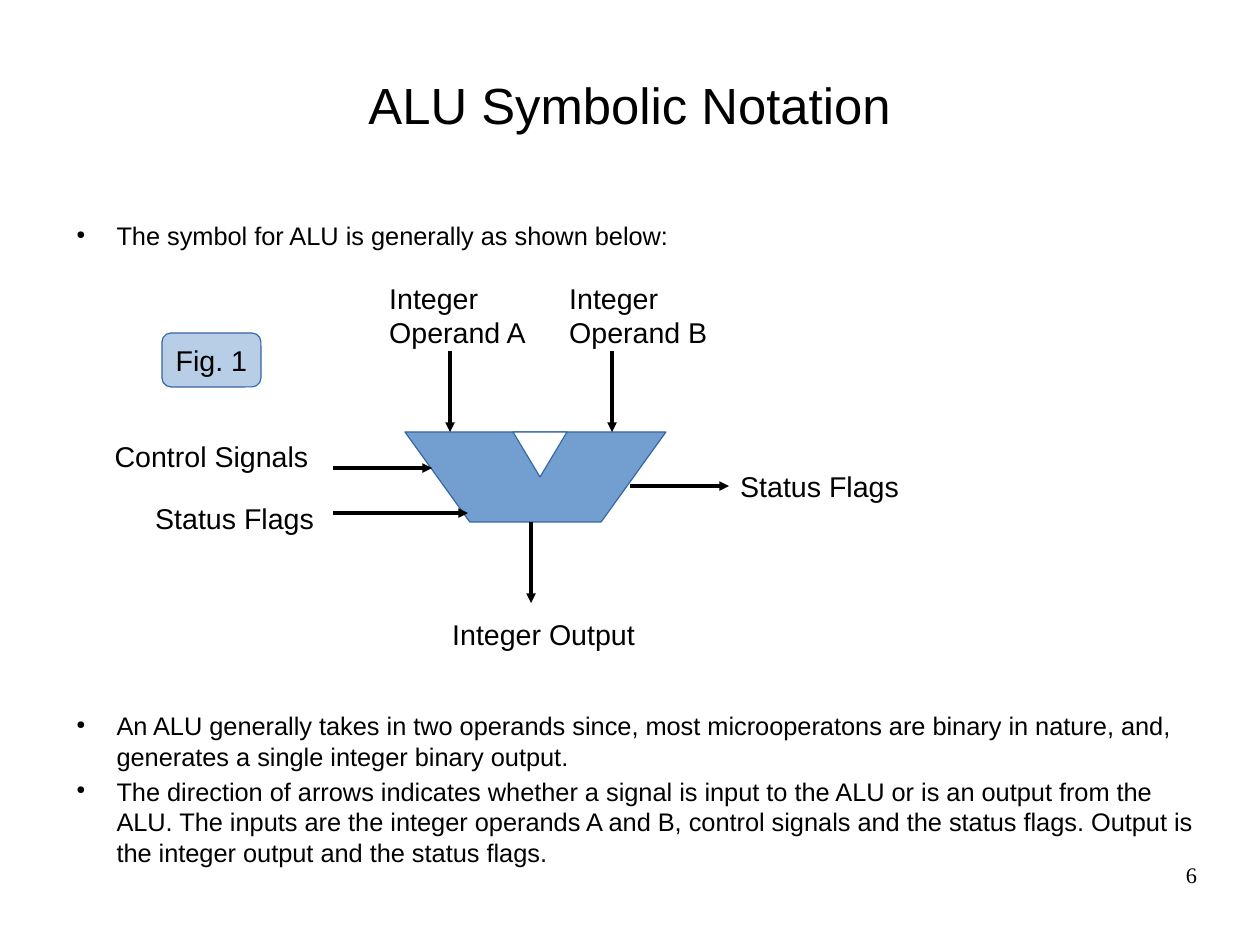
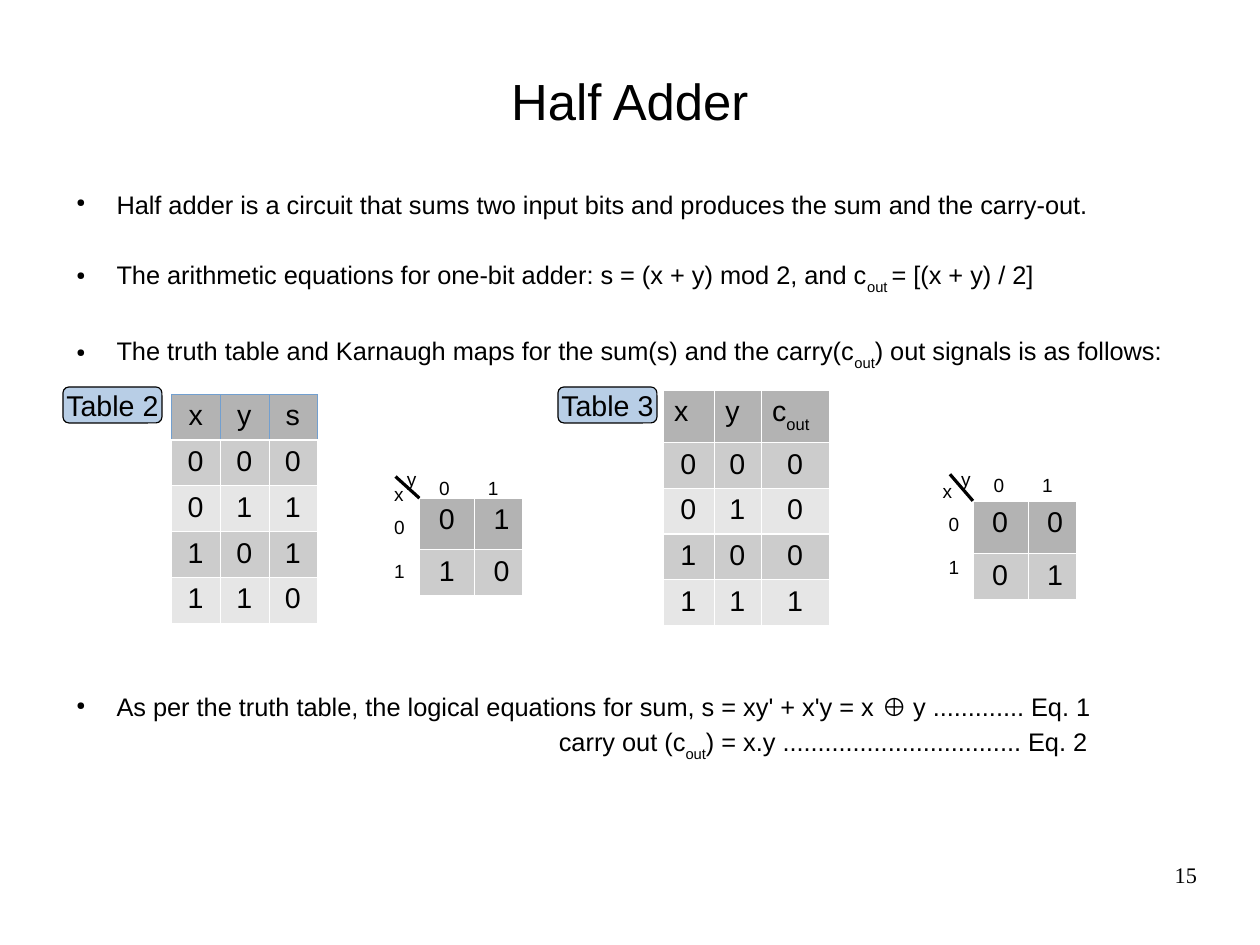
from dataclasses import dataclass
from typing import Optional

import pptx
import pptx.dml.color
import pptx.enum.shapes
import pptx.enum.text
import pptx.oxml.ns
import pptx.oxml.xmlchemy
import pptx.util
from lxml import etree

Cm = pptx.util.Cm
Pt = pptx.util.Pt
qn = pptx.oxml.ns.qn
Align = pptx.enum.text.PP_ALIGN
Anchor = pptx.enum.text.MSO_ANCHOR
Preset = pptx.enum.shapes.MSO_SHAPE

COLORS = {
    "text": "000000",
    "paper": "FFFFFF",
    "blue": "729FCF",
    "blue_edge": "3465A4",
    "header": "B3B3B3",
    "odd_row": "CCCCCC",
    "even_row": "E6E6E6",
}
BODY_FONT, NUMBER_FONT = "Arial", "Times New Roman"
MARGIN, CONTENT_WIDTH = 1.4, 25.2
BLANK_LINE = 22.05  # points taken by one body line with its spacing
HAIRLINE = 0


# What the slides repeat; positions and sizes are in centimetres
@dataclass(frozen=True)
class Point:
    text: str  # subscripts stand between bars
    before: float = 0
    left: float = 1.19
    bulleted: bool = True


@dataclass(frozen=True)
class Label:
    text: str
    left: float
    top: float
    width: float
    height: float = 0.97
    align: Align = Align.LEFT
    size: float = 18


@dataclass(frozen=True)
class Arrow:
    start: tuple[float, float]
    end: tuple[float, float]
    head: bool = True


@dataclass(frozen=True)
class Badge:
    text: str
    left: float
    top: float
    height: float
    edge: str


@dataclass(frozen=True)
class Grid:
    left: float
    top: float
    widths: tuple[float, ...]
    heights: tuple[float, ...]
    rows: tuple[tuple[str, ...], ...]
    header_align: Align = Align.LEFT
    body_align: Align = Align.CENTER
    header_edge: str = "paper"
    inset: float = 0.25


@dataclass(frozen=True)
class KarnaughMap:
    grid: Grid
    x_at: tuple[float, float]
    y_at: tuple[float, float]
    labels_at: tuple[float, float]


def rgb(name: str) -> pptx.dml.color.RGBColor:
    return pptx.dml.color.RGBColor.from_string(COLORS[name])


def write(paragraph, text: str, size: float, align: Align = Align.LEFT,
          font: str = BODY_FONT) -> None:
    """Fill a paragraph; every second part between bars is a subscript."""
    for index, part in enumerate(text.split("|")):
        if part:
            run = paragraph.add_run()
            run.text = part
            if index % 2:
                run._r.get_or_add_rPr().set("baseline", "-33000")
    paragraph.alignment = align
    paragraph.font.name = font
    paragraph.font.size = Pt(size)
    paragraph.font.color.rgb = rgb("text")


def add_frame(slide, left: float, top: float, width: float, height: float):
    """Add a wrapping text box without insets and return its text frame."""
    frame = slide.shapes.add_textbox(Cm(left), Cm(top), Cm(width), Cm(height)).text_frame
    frame.word_wrap = True
    frame.margin_left = frame.margin_top = frame.margin_right = frame.margin_bottom = 0
    return frame


def add_bullet(paragraph) -> None:
    properties = paragraph._p.get_or_add_pPr()
    color = etree.SubElement(properties, qn("a:buClr"))
    etree.SubElement(color, qn("a:srgbClr"), val=COLORS["text"])
    etree.SubElement(properties, qn("a:buSzPct"), val="45000")
    etree.SubElement(properties, qn("a:buChar"), char="●")


def add_body(slide, top: float, height: float, points: list[Point]) -> None:
    frame = add_frame(slide, MARGIN, top, CONTENT_WIDTH, height)
    for index, point in enumerate(points):
        paragraph = frame.add_paragraph() if index else frame.paragraphs[0]
        properties = paragraph._p.get_or_add_pPr()
        properties.set("marL", str(Cm(point.left)))
        properties.set("indent", str(Cm(-0.89) if point.bulleted else 0))
        if point.bulleted:
            add_bullet(paragraph)
        if index:
            paragraph.space_before = Pt(point.before)
        paragraph.space_after = Pt(2.8)
        write(paragraph, point.text, 16)


def add_base(deck, title: str, title_height: float, number: str):
    """Start a slide with its title and page number."""
    slide = deck.slides.add_slide(deck.slide_layouts[6])
    heading = add_frame(slide, MARGIN, 0.84, CONTENT_WIDTH, title_height)
    heading.vertical_anchor = Anchor.MIDDLE
    write(heading.paragraphs[0], title, 32, Align.CENTER)
    footer = add_frame(slide, 20.07, 19.13, 6.53, 1.45)
    write(footer.paragraphs[0], number, 14, Align.RIGHT, NUMBER_FONT)
    return slide


def add_label(slide, label: Label):
    box = slide.shapes.add_textbox(
        Cm(label.left), Cm(label.top), Cm(label.width), Cm(label.height))
    box.text_frame.word_wrap = True
    write(box.text_frame.paragraphs[0], label.text, label.size, label.align)
    return box


def add_arrow(slide, arrow: Arrow, target: Optional[object] = None) -> None:
    line = slide.shapes.add_connector(
        pptx.enum.shapes.MSO_CONNECTOR.STRAIGHT,
        *(Cm(value) for value in arrow.start + arrow.end))
    if target is not None:
        line.end_connect(target, 1)
    line.line.color.rgb = rgb("text")
    line.line.width = HAIRLINE
    properties = line._element.spPr
    if arrow.head:
        etree.SubElement(properties.find(qn("a:ln")), qn("a:tailEnd"), type="triangle")
    etree.SubElement(properties, qn("a:effectLst"))


def paint(shape, fill: str, edge: str) -> None:
    shape.shadow.inherit = False
    shape.fill.solid()
    shape.fill.fore_color.rgb = rgb(fill)
    shape.line.color.rgb = rgb(edge)
    shape.line.width = HAIRLINE


def add_badge(slide, badge: Badge) -> None:
    box = slide.shapes.add_shape(Preset.ROUNDED_RECTANGLE, Cm(badge.left), Cm(badge.top),
                                 Cm(2.2), Cm(badge.height))
    paint(box, "blue", badge.edge)
    fill_color = box._element.spPr.find(qn("a:solidFill")).find(qn("a:srgbClr"))
    etree.SubElement(fill_color, qn("a:alpha"), val="50000")
    box.text_frame.word_wrap = False
    box.text_frame.vertical_anchor = Anchor.MIDDLE
    write(box.text_frame.paragraphs[0], badge.text, 18, Align.CENTER)


def add_cell_edges(cell, sides: str, color: str) -> None:
    properties = cell._tc.get_or_add_tcPr()
    for side in sides:
        edge = etree.SubElement(properties, qn(f"a:ln{side}"), w=str(Pt(0.06)))
        fill = etree.SubElement(edge, qn("a:solidFill"))
        etree.SubElement(fill, qn("a:srgbClr"), val=COLORS[color])


def add_grid(slide, grid: Grid) -> None:
    table = slide.shapes.add_table(
        len(grid.heights), len(grid.widths), Cm(grid.left), Cm(grid.top),
        Cm(sum(grid.widths)), Cm(sum(grid.heights))).table
    for column, width in zip(table.columns, grid.widths):
        column.width = Cm(width)
    for r, (height, texts) in enumerate(zip(grid.heights, grid.rows)):
        table.rows[r].height = Cm(height)
        fill = ("odd_row" if r % 2 else "even_row") if r else "header"
        for c, text in enumerate(texts):
            cell = table.cell(r, c)
            add_cell_edges(cell, "LRB" if r else "LRTB", "paper" if r else grid.header_edge)
            cell.fill.solid()
            cell.fill.fore_color.rgb = rgb(fill)
            cell.margin_left = Cm(grid.inset)
            write(cell.text_frame.paragraphs[0], text, 18,
                  grid.body_align if r else grid.header_align)


def add_karnaugh_map(slide, kmap: KarnaughMap) -> None:
    add_grid(slide, kmap.grid)
    corner = (kmap.grid.left, kmap.grid.top)
    add_arrow(slide, Arrow(corner, (kmap.y_at[0], kmap.x_at[1]), head=False))
    left, top = kmap.labels_at
    places = [("x", *kmap.x_at), ("y", *kmap.y_at)]
    for bit in range(2):
        places.append((str(bit), left + 1 + 1.08 * bit, top))
        places.append((str(bit), left, top + 0.87 + 0.97 * bit))
    for text, x, y in places:
        add_label(slide, Label(text, x, y, 1.09, 0.74, size=12))


def build_alu_slide(deck) -> None:
    slide = add_base(deck, "ALU Symbolic Notation", 2.97, "6")
    add_body(slide, 4.9, 15.3, [
        Point("The symbol for ALU is generally as shown below:"),
        Point("An ALU generally takes in two operands since, most microoperatons are binary "
              "in nature, and, generates a single integer binary output.", 13 * BLANK_LINE),
        Point("The direction of arrows indicates whether a signal is input to the ALU or is an "
              "output from the ALU. The inputs are the integer operands A and B, control signals "
              "and the status flags. Output is the integer output and the status flags."),
    ])

    # ALU symbol: trapezoid with a notch
    outline = slide.shapes.build_freeform(Cm(9), Cm(9.6))
    outline.add_line_segments(
        [(Cm(x), Cm(y)) for x, y in ((14.8, 9.6), (13.36, 11.6), (10.44, 11.6))])
    paint(outline.convert_to_shape(), "blue", "blue_edge")
    notch = slide.shapes.add_shape(
        Preset.ISOSCELES_TRIANGLE, Cm(11.4), Cm(9.6), Cm(1.2), Cm(1))
    notch.rotation = 180
    paint(notch, "paper", "blue_edge")

    # Signals
    for label in (
        Label("Integer Operand A", 8.4, 6.12, 3.62, 1.68),
        Label("Integer Operand B", 12.4, 6.12, 3.62, 1.68),
        Label("Control Signals", 2.2, 9.63, 5, align=Align.CENTER),
        Label("Status Flags", 3.2, 11, 4.6),
        Label("Integer Output", 9.8, 13.59, 5),
    ):
        add_label(slide, label)
    for arrow in (
        Arrow((10, 7.8), (10, 9.6)),
        Arrow((13.6, 7.8), (13.6, 9.6)),
        Arrow((11.8, 11.6), (11.8, 13.4)),
        Arrow((7.4, 10.4), (9.6, 10.4)),
        Arrow((7.4, 11.4), (10.4, 11.4)),
    ):
        add_arrow(slide, arrow)
    flags_out = add_label(slide, Label("Status Flags", 16.2, 10.3, 4.8, 1))
    add_arrow(slide, Arrow((14, 10.8), (16.2, 10.8)), flags_out)
    add_badge(slide, Badge("Fig. 1", 3.6, 7.4, 1.2, "blue_edge"))


def build_half_adder_slide(deck) -> None:
    slide = add_base(deck, "Half Adder", 2.77, "15")
    add_body(slide, 4.2, 16.8, [
        Point("Half adder is a circuit that sums two input bits and produces the sum and "
              "the carry-out."),
        Point("The arithmetic equations for one-bit adder: s = (x + y) mod 2, "
              "and c|out |= [(x + y) / 2]", BLANK_LINE),
        Point("The truth table and Karnaugh maps for the sum(s) and the carry(c|out|) out "
              "signals is as follows:", BLANK_LINE),
        Point("As per the truth table, the logical equations for sum, "
              "s = xy' + x'y = x ⊕ y ............. Eq. 1", 9 * BLANK_LINE),
        Point("carry out (c|out|) = x.y .................................. Eq. 2",
              left=11.02, bulleted=False),
    ])

    # Truth tables
    inputs = (("0", "0"), ("0", "1"), ("1", "0"), ("1", "1"))
    sums = tuple(pair + (bit,) for pair, bit in zip(inputs, "0110"))
    carries = tuple(pair + (bit,) for pair, bit in zip(inputs, "0001"))
    add_grid(slide, Grid(3.81, 8.76, (1.08,) * 3, (0.97,) * 5, (("x", "y", "s"),) + sums,
                         header_align=Align.CENTER, header_edge="blue"))
    add_grid(slide, Grid(14.73, 8.66, (1.14, 1.04, 1.52), (1.12,) + (0.97,) * 4,
                         (("x", "y", "c|out|"),) + carries))
    for text, left in (("Table 2", 1.4), ("Table 3", 12.4)):
        add_badge(slide, Badge(text, left, 8.6, 0.8, "text"))

    # Karnaugh maps
    for left, top, heights, rows, x_at, y_at, labels_at in (
        (9.32, 11.07, (1.14, 0.98), (("0", "1"), ("1", "0")),
         (8.51, 10.59), (8.79, 10.26), (8.51, 10.46)),
        (21.62, 11.13, (1.17, 1.02), (("0", "0"), ("0", "1")),
         (20.7, 10.54), (21.11, 10.26), (20.83, 10.39)),
    ):
        grid = Grid(left, top, (1.22, 1.07), heights, rows, body_align=Align.LEFT, inset=0.43)
        add_karnaugh_map(slide, KarnaughMap(grid, x_at, y_at, labels_at))


def main() -> None:
    deck = pptx.Presentation()
    deck.slide_width, deck.slide_height = Cm(28), Cm(21)
    build_alu_slide(deck)
    build_half_adder_slide(deck)
    deck.save("out.pptx")


if __name__ == "__main__":
    main()
